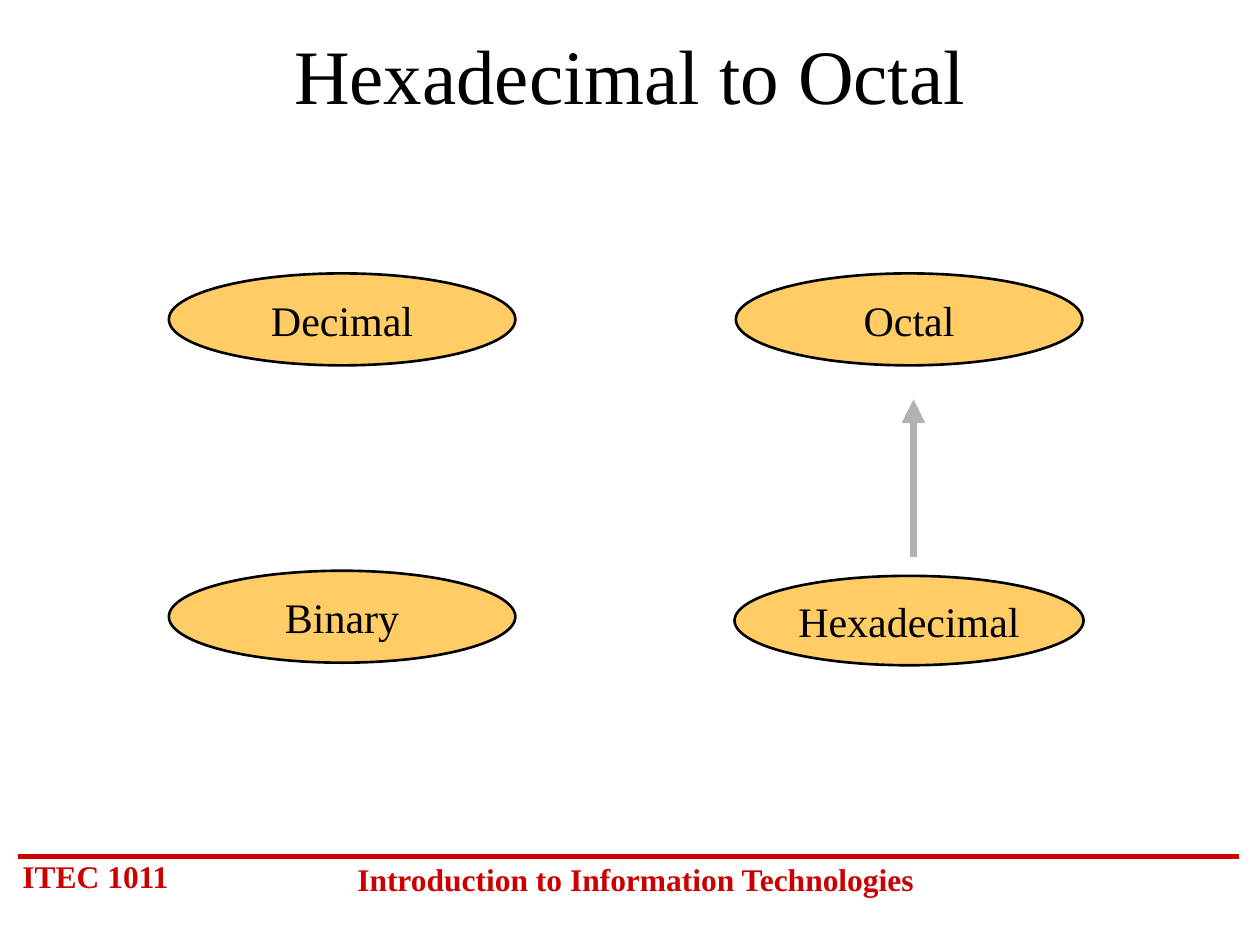
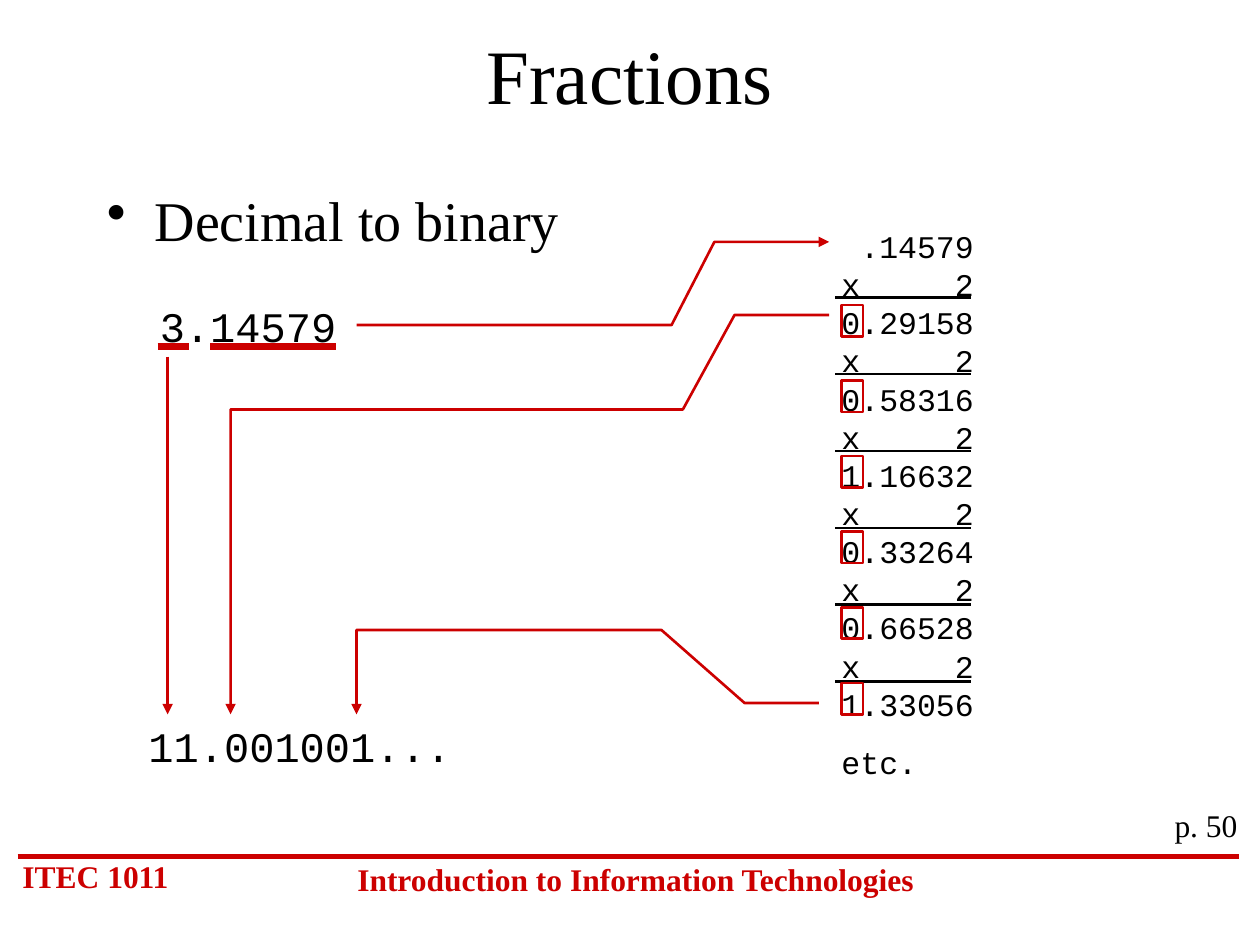
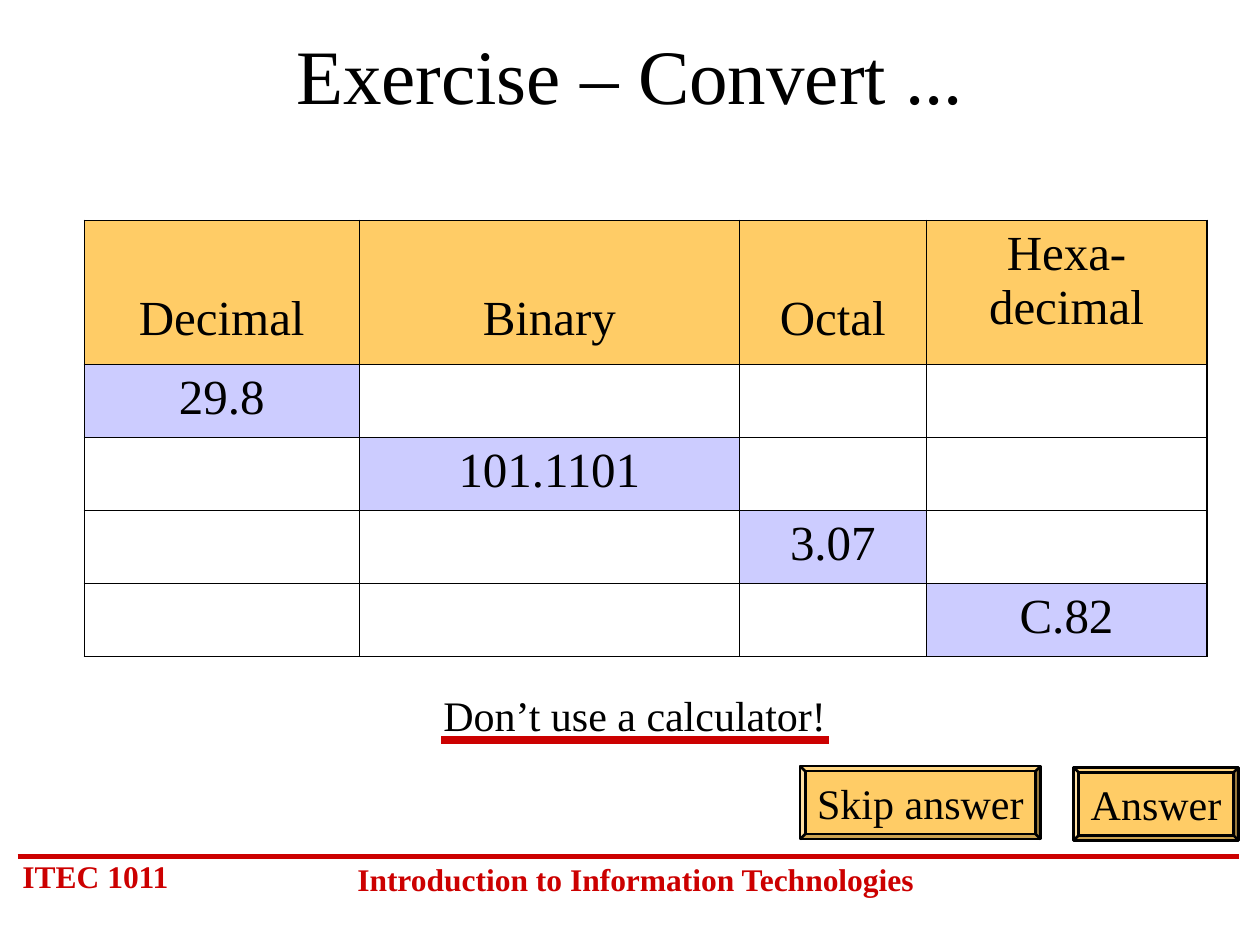
from dataclasses import dataclass

from lxml import etree
from pptx import Presentation
from pptx import util as u
from pptx.dml.color import RGBColor
from pptx.enum import shapes, text
from pptx.oxml.ns import qn

LEFT, CENTER, RIGHT = text.PP_ALIGN.LEFT, text.PP_ALIGN.CENTER, text.PP_ALIGN.RIGHT
TOP, MIDDLE, BOTTOM = text.MSO_ANCHOR.TOP, text.MSO_ANCHOR.MIDDLE, text.MSO_ANCHOR.BOTTOM


@dataclass(frozen=True)
class Theme:
    serif: str = "Times New Roman"
    mono: str = "Courier New"
    ink: str = "000000"
    accent: str = "CC0000"
    gold: str = "FFCC66"
    lilac: str = "CCCCFF"
    gray: str = "B2B2B2"
    title: int = 44
    body: int = 32
    cell: int = 28
    label: int = 24
    small: int = 18
    mono_leading: float = 1.21
    thin: float = 1.5
    rule: float = 3
    thick: float = 4.5
    grid: float = 0.45
    frame: float = 1.08


T = Theme()


def rgb(value):
    return RGBColor.from_string(value)


def add_xml(parent, tag, index=None, **attributes):
    child = etree.Element(qn(tag), attributes)
    parent.insert(len(parent) if index is None else index, child)
    return child


def write(p, content, size, color=T.ink, font=T.serif, bold=False, align=LEFT):
    p.alignment = align
    if font == T.mono:
        p.line_spacing = u.Pt(round(size * T.mono_leading, 1))
    for i, line in enumerate(content.split("\n")):
        if i:
            p.add_line_break()
        r = p.add_run()
        r.text = line
        r.font.name = font
        r.font.size = u.Pt(size)
        r.font.bold = bold
        r.font.color.rgb = rgb(color)


def add_text(slide, box, content, size, anchor=TOP, wrap=True, **style):
    tf = slide.shapes.add_textbox(*map(u.Inches, box)).text_frame
    tf.word_wrap = wrap
    tf.vertical_anchor = anchor
    write(tf.paragraphs[0], content, size, **style)
    return tf


def add_shape(slide, kind, box, fill=None, line=T.ink, label=None):
    sp = slide.shapes.add_shape(kind, *map(u.Inches, box))
    sp.shadow.inherit = False
    if fill:
        sp.fill.solid()
        sp.fill.fore_color.rgb = rgb(fill)
    else:
        sp.fill.background()
    sp.line.color.rgb = rgb(line)
    sp.line.width = u.Pt(T.thin)
    if label:
        tf = sp.text_frame
        tf.word_wrap = False
        tf.vertical_anchor = MIDDLE
        write(tf.paragraphs[0], label, T.label, align=CENTER)
    return sp


def style_line(sp, color, width, arrow):
    sp.line.color.rgb = rgb(color)
    sp.line.width = u.Pt(width)
    if arrow:
        add_xml(sp.element.spPr.find(qn("a:ln")), "a:tailEnd", type="triangle")


def add_line(slide, start, end, color=T.accent, width=T.thin, arrow=False):
    sp = slide.shapes.add_connector(
        shapes.MSO_CONNECTOR.STRAIGHT, *map(u.Inches, (*start, *end)))
    style_line(sp, color, width, arrow)
    add_xml(sp.element.spPr, "a:effectLst")


def add_route(slide, points):
    start, *rest = [(u.Inches(x), u.Inches(y)) for x, y in points]
    builder = slide.shapes.build_freeform(*start)
    builder.add_line_segments(rest, close=False)
    sp = builder.convert_to_shape()
    sp.shadow.inherit = False
    sp.fill.background()
    style_line(sp, T.accent, T.thin, True)


def add_footer(slide, x, y, width):
    style = dict(color=T.accent, bold=True)
    add_line(slide, (x, y), (x + width, y), width=T.rule)
    add_text(slide, (x - 0.06, y - 0.05, 1.5, 0.4), "ITEC 1011", T.small, **style)
    add_text(slide, (x + 2.53, y - 0.02, 4.75, 0.4),
             "Introduction to Information Technologies", T.small, align=CENTER, **style)


def new_slide(prs, title):
    slide = prs.slides.add_slide(prs.slide_layouts[6])
    add_footer(slide, 0.14, 6.8, 9.69)
    add_text(slide, (0.75, 0.17, 8.5, 0.83), title, T.title, anchor=MIDDLE, align=CENTER)
    return slide


def add_bases(slide, x, y):
    bases = {
        "Decimal": (0, 0, 2.75, 0.73),
        "Octal": (4.5, 0, 2.75, 0.73),
        "Binary": (0, 2.36, 2.75, 0.73),
        "Hexadecimal": (4.49, 2.4, 2.77, 0.71),
    }
    for name, (dx, dy, width, height) in bases.items():
        add_shape(slide, shapes.MSO_SHAPE.OVAL, (x + dx, y + dy, width, height),
                  fill=T.gold, label=name)
    add_line(slide, (x + 5.91, y + 2.25), (x + 5.91, y + 1), T.gray, T.thick, arrow=True)


def add_bullet(slide, box, content):
    p = add_text(slide, box, content, T.body).paragraphs[0]
    pPr = p._p.get_or_add_pPr()
    pPr.set("marL", str(u.Inches(0.38)))
    pPr.set("indent", str(u.Inches(-0.38)))
    add_xml(pPr, "a:buChar", char="•")


def add_multiplications(slide, x, y):
    products = ["0.29158", "0.58316", "1.16632", "0.33264", "0.66528", "1.33056"]
    work = "\n".join(["\t.14579"] + [f"x\t2\n{product}" for product in products])
    tf = add_text(slide, (x, y, 1.62, 4.46), work, T.small, font=T.mono)
    tabs = add_xml(tf.paragraphs[0]._p.get_or_add_pPr(), "a:tabLst")
    add_xml(tabs, "a:tab", pos=str(u.Inches(1.05)), algn="r")
    p = tf.add_paragraph()
    p.space_before = u.Pt(11.2)
    write(p, "etc.", T.small, font=T.mono)
    for i in range(len(products)):
        rule_y = y + 0.61 * (i + 1)
        add_line(slide, (x + 0.05, rule_y), (x + 1.13, rule_y), T.ink)
        add_shape(slide, shapes.MSO_SHAPE.RECTANGLE,
                  (x + 0.1, y + 0.67 + 0.6 * i, 0.17, 0.25), line=T.accent)


def add_conversion(slide, x, y):
    add_text(slide, (x + 0.09, y, 1.63, 0.5), "3.14579", T.label, font=T.mono)
    add_text(slide, (x, y + 3.34, 2.92, 0.5), "11.001001...", T.label, font=T.mono)
    for start, end in ((0.17, 0.42), (0.59, 1.59)):
        add_line(slide, (x + start, y + 0.42), (x + end, y + 0.42), width=T.thick)
    add_line(slide, (x + 0.25, y + 0.5), (x + 0.25, y + 3.34), arrow=True)
    routes = [
        [(1.75, 0.25), (4.25, 0.25), (4.59, -0.41), (5.5, -0.41)],
        [(5.5, 0.17), (4.75, 0.17), (4.34, 0.92), (0.75, 0.92), (0.75, 3.34)],
        [(5.42, 3.25), (4.83, 3.25), (4.17, 2.67), (1.75, 2.67), (1.75, 3.34)],
    ]
    for route in routes:
        add_route(slide, [(x + dx, y + dy) for dx, dy in route])


def set_borders(cell, widths):
    tcPr = cell._tc.get_or_add_tcPr()
    for i, (side, width) in enumerate(zip("LRTB", widths)):
        ln = add_xml(tcPr, f"a:ln{side}", i, w=str(u.Pt(width)))
        add_xml(add_xml(ln, "a:solidFill"), "a:srgbClr", val=T.ink)


def add_exercise_table(slide, box):
    headers = ["Decimal", "Binary", "Octal", "Hexa-\ndecimal"]
    givens = ["29.8", "101.1101", "3.07", "C.82"]
    columns, rows = [2.18, 3.02, 1.48, 2.23], [1.14] + [0.58] * len(givens)
    table = slide.shapes.add_table(len(rows), len(columns), *map(u.Inches, box)).table
    table.first_row = table.horz_banding = False
    for column, width in zip(table.columns, columns):
        column.width = u.Inches(width)
    for row, height in zip(table.rows, rows):
        row.height = u.Inches(height)
    last_row, last_column = len(rows) - 1, len(columns) - 1
    for i in range(len(rows)):
        for j, header in enumerate(headers):
            cell = table.cell(i, j)
            cell.fill.background()
            content, fill = "", None
            if i == 0:
                content, fill = header, T.gold
                if "\n" not in header:
                    cell.vertical_anchor = BOTTOM
                    cell.margin_bottom = u.Inches(0.14)
            elif i == j + 1:
                content, fill = givens[j], T.lilac
            if content:
                cell.fill.solid()
                cell.fill.fore_color.rgb = rgb(fill)
                write(cell.text_frame.paragraphs[0], content, T.cell, align=CENTER)
            outer = (j == 0, j == last_column, i == 0, i == last_row)
            set_borders(cell, [T.frame if edge else T.grid for edge in outer])


def add_reminder(slide, x, y):
    add_text(slide, (x, y, 3.24, 0.5), "Don’t use a calculator!", T.label, wrap=False)
    add_line(slide, (x + 0.08, y + 0.45), (x + 3.16, y + 0.45), width=T.thick)


def add_button(slide, box, label):
    sp = add_shape(slide, shapes.MSO_SHAPE.BEVEL, box, fill=T.gold, label=label)
    sp.adjustments[0] = 0.07


def main():
    prs = Presentation()
    prs.slide_width, prs.slide_height = u.Inches(10), u.Inches(7.5)

    add_bases(new_slide(prs, "Hexadecimal to Octal"), 1.34, 2.17)

    slide = new_slide(prs, "Fractions")
    add_bullet(slide, (0.75, 1.42, 8.5, 4.5), "Decimal to binary")
    add_text(slide, (8.75, 6.35, 1.17, 0.4), "p. 50", T.small, align=RIGHT)
    add_multiplications(slide, 6.58, 1.75)
    add_conversion(slide, 1.08, 2.33)

    slide = new_slide(prs, "Exercise – Convert ...")
    add_reminder(slide, 3.42, 5.42)
    add_exercise_table(slide, (0.67, 1.75, 8.91, 3.46))
    add_button(slide, (6.35, 6.08, 1.91, 0.58), "Skip answer")
    add_button(slide, (8.52, 6.09, 1.31, 0.58), "Answer")

    prs.save("out.pptx")


if __name__ == "__main__":
    main()
